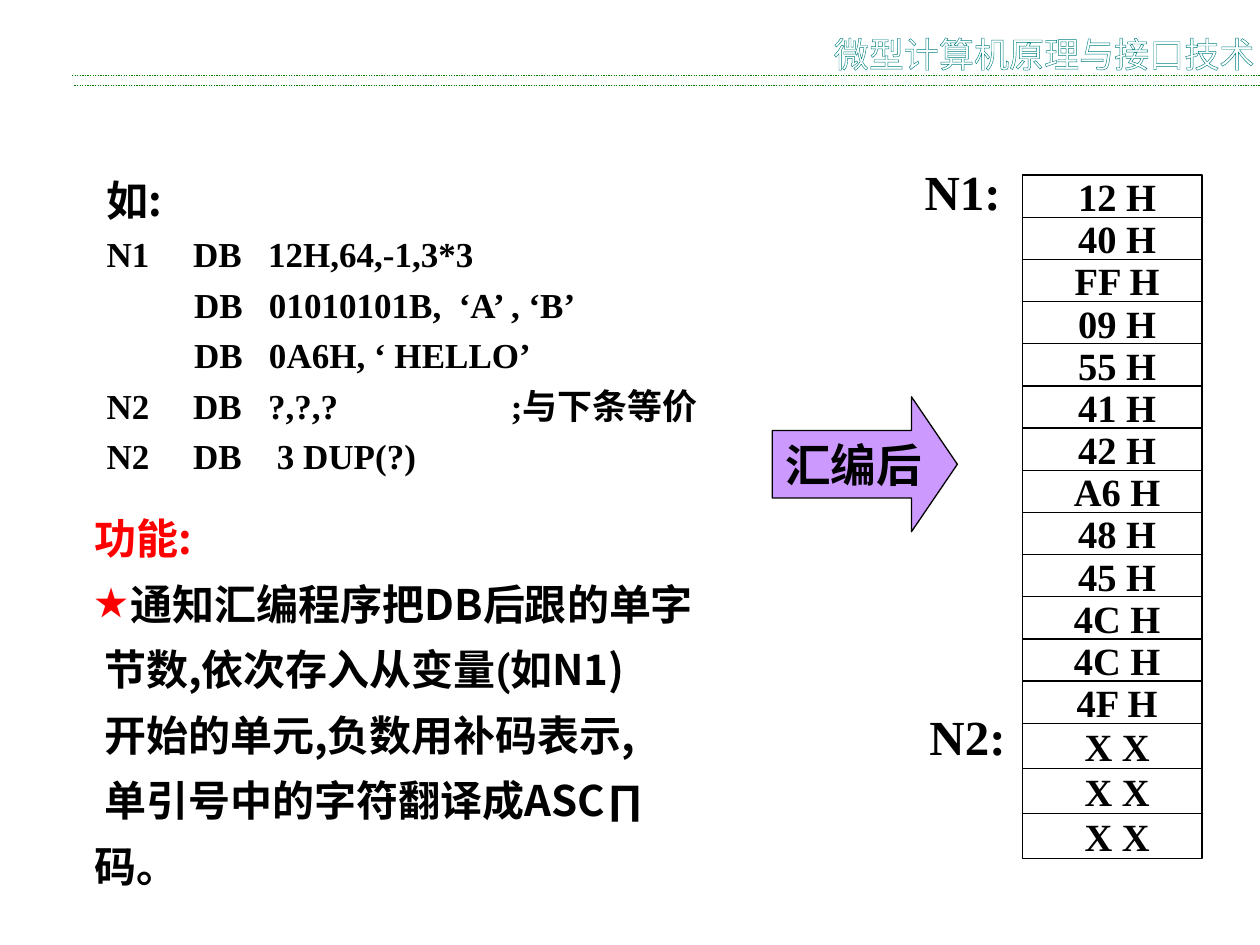
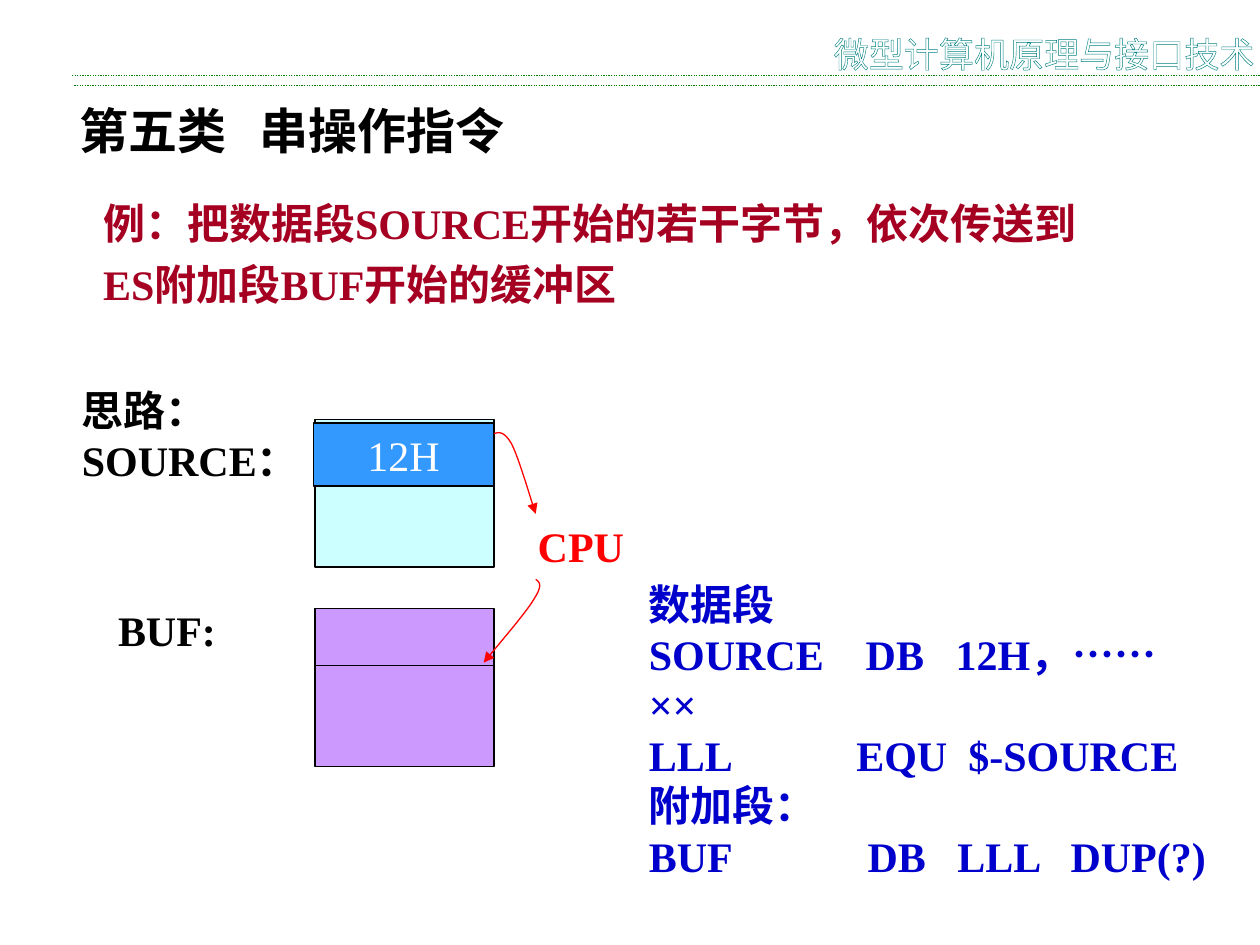
from lxml.etree import SubElement
from pptx import Presentation
from pptx.dml.color import RGBColor
from pptx.enum.dml import MSO_LINE
from pptx.enum.shapes import MSO_CONNECTOR, MSO_SHAPE
from pptx.enum.text import MSO_ANCHOR, PP_ALIGN
from pptx.oxml import parse_xml
from pptx.oxml.ns import nsdecls, qn
from pptx.util import Cm, Pt

COLORS = {
    "black": "000000", "white": "FFFFFF", "red": "FF0000", "green": "008000",
    "teal": "008080", "violet": "CC99FF", "cyan": "CCFFFF", "blue": "3399FF",
    "navy": "0000CC", "crimson": "A50021",
}
SERIF, SANS, ROBOTO = "Times New Roman", "Noto Sans CJK SC", "Roboto"
LINE_WIDTH = Pt(0.75)

COURSE = "微型计算机原理与接口技术"
COURSE_BOX = (16.56, 0.53, 8.84, 0.98)
HEADER_RULES = [(1.45, 1.52), (1.5, 1.73)]

CODE = [
    "N1     DB   12H,64,-1,3*3",
    "          DB   01010101B,  ‘A’ , ‘B’",
    "          DB   0A6H, ‘ HELLO’",
    "N2     DB   ?,?,?\t\t   ;与下条等价",
    "N2     DB    3 DUP(?)",
]
CODE_TABS = (5.08, 7.62)
PURPOSE = [
    [("节数,依次存入从变量", SANS), ("(", ROBOTO), ("如N1)", SANS)],
    [("开始的单元,负数用补码表示,", SANS)],
    [("单引号中的字符翻译成ASC∏", SANS), ("码。", SANS)],
]
BYTES = ["12 H", "40 H", "FF H", "09 H", "55 H", "41 H", "42 H", "A6 H",
         "48 H", "45 H", "4C H", "4C H", "4F H"]
RESERVED = ["X X"] * 3
MEMORY_LEFT, MEMORY_TOP, MEMORY_WIDTH = 20.62, 3.53, 3.61
BYTE_HEIGHT, RESERVED_HEIGHT = 0.85, 0.91
VALUE_CENTER, VALUE_WIDTH, VALUE_HEIGHT = 22.52, 2.5, 1.19
MEMORY_LABELS = [("N1:", 18.19, 3.12), ("N2:", 18.29, 14.12)]

EXAMPLE = ["例：把数据段SOURCE开始的若干字节，依次传送到",
           "ES附加段BUF开始的缓冲区"]
DATA = ["数据段", "SOURCE    DB   12H，…… ××", "LLL            EQU  $-SOURCE",
        "附加段：", "BUF             DB   LLL   DUP(?)"]
TITLE_TABS = (3.63,)
LABELS = [
    (["第五类\t串操作指令"], (1.35, 1.91, 12, 1.45), 28, "black", 1),
    (EXAMPLE, (1.83, 3.66, 23.01, 2.69), 24, "crimson", 1.2),
    (["思路：", "SOURCE："], (1.4, 7.62, 5.5, 2.29), 24, "black", 1),
    (["BUF:"], (2.13, 12.07, 3, 1.27), 24, "black", 1),
    (["CPU"], (10.59, 10.36, 2.6, 1.27), 24, "red", 1),
    (DATA, (12.83, 11.53, 11.84, 5.33), 24, "navy", 1),
]
SOURCE_BOX = (6.35, 8.46, 3.61, 2.97)
SOURCE_BYTE_BOX = (6.32, 8.53, 3.63, 1.27)
BUF_BOX = (6.35, 12.27, 3.61, 3.18)
BUF_RULE = 13.41
MOVES = [
    [(9.96, 8.74), (10.06, 8.71), (10.16, 8.69), (10.31, 8.94),
     (10.46, 9.22), (10.72, 10.13), (10.8, 10.36)],
    [(10.8, 11.68), (10.87, 11.73), (10.95, 11.79), (10.77, 12.07),
     (10.62, 12.34), (9.93, 13.13), (9.75, 13.36)],
]


def rgb(color):
    return RGBColor.from_string(COLORS[color])


def lengths(values):
    return [Cm(value) for value in values]


def add_run(paragraph, text, size, color="black", font=SERIF, bold=True):
    run = paragraph.add_run()
    run.text = text
    run.font.size = Pt(size)
    run.font.bold = bold
    run.font.color.rgb = rgb(color)
    run.font.name = font
    east_asian = SubElement(run.font._element, qn("a:ea"))
    east_asian.set("typeface", SANS)
    return run


def next_paragraph(frame, spacing=1.0, align=PP_ALIGN.LEFT):
    first = frame.paragraphs[0]
    paragraph = frame.add_paragraph() if first.runs else first
    paragraph.alignment = align
    paragraph.line_spacing = float(spacing)
    return paragraph


def add_tabs(paragraph, positions):
    tabs = SubElement(paragraph._p.get_or_add_pPr(), qn("a:tabLst"))
    for position in positions:
        tab = SubElement(tabs, qn("a:tab"))
        tab.set("pos", str(Cm(position)))
        tab.set("algn", "l")


def add_box(slide, box, wrap=True, anchor=MSO_ANCHOR.TOP):
    frame = slide.shapes.add_textbox(*lengths(box)).text_frame
    frame.word_wrap = wrap
    frame.vertical_anchor = anchor
    return frame


def add_centered(slide, text, box, size):
    frame = add_box(slide, box, anchor=MSO_ANCHOR.MIDDLE)
    add_run(next_paragraph(frame, align=PP_ALIGN.CENTER), text, size)


def set_indent(paragraph, margin, indent):
    properties = paragraph._p.get_or_add_pPr()
    properties.set("marL", str(Cm(margin)))
    properties.set("indent", str(Cm(indent)))
    return properties


def style_outline(shape, fill=None, line="black"):
    shape.shadow.inherit = False
    if fill:
        shape.fill.solid()
        shape.fill.fore_color.rgb = rgb(fill)
    else:
        shape.fill.background()
    shape.line.color.rgb = rgb(line)
    shape.line.width = LINE_WIDTH


def add_shape(slide, box, fill=None, kind=MSO_SHAPE.RECTANGLE):
    shape = slide.shapes.add_shape(kind, *lengths(box))
    style_outline(shape, fill)
    return shape


def add_rule(slide, left, right, y, color="black"):
    rule = slide.shapes.add_connector(
        MSO_CONNECTOR.STRAIGHT, *lengths((left, y, right, y)))
    rule.line.color.rgb = rgb(color)
    rule.line.width = LINE_WIDTH
    SubElement(rule._element.spPr, qn("a:effectLst"))
    return rule


def curve_points(points, steps=12):
    result = [points[0]]
    for start in range(0, len(points) - 1, 3):
        a, b, c, d = points[start:start + 4]
        for step in range(1, steps + 1):
            t = step / steps
            u = 1 - t
            result.append(tuple(
                u**3 * p + 3 * u * u * t * q + 3 * u * t * t * r + t**3 * s
                for p, q, r, s in zip(a, b, c, d)))
    return result


def add_move(slide, points):
    start, *rest = [tuple(lengths(point)) for point in curve_points(points)]
    builder = slide.shapes.build_freeform(*start)
    builder.add_line_segments(rest, close=False)
    move = builder.convert_to_shape()
    style_outline(move, line="red")
    SubElement(move.line._get_or_add_ln(), qn("a:tailEnd")).set("type", "triangle")


def new_slide(presentation):
    slide = presentation.slides.add_slide(presentation.slide_layouts[6])
    for left, y in HEADER_RULES:
        add_rule(slide, left, 25.4, y, "green").line.dash_style = MSO_LINE.ROUND_DOT
    frame = add_box(slide, COURSE_BOX, wrap=False)
    frame.margin_right = 0
    run = add_run(next_paragraph(frame), COURSE, 20, "white", SANS, False)
    run.font._element.insert(0, parse_xml(
        f'<a:ln {nsdecls("a")} w="{LINE_WIDTH}"><a:solidFill>'
        f'<a:srgbClr val="{COLORS["teal"]}"/></a:solidFill></a:ln>'))
    return slide


def add_memory(slide):
    rows = ([(value, BYTE_HEIGHT) for value in BYTES]
            + [(value, RESERVED_HEIGHT) for value in RESERVED])
    top = MEMORY_TOP
    for value, height in rows:
        if top > MEMORY_TOP:
            add_rule(slide, MEMORY_LEFT, MEMORY_LEFT + MEMORY_WIDTH, top)
        add_centered(slide, value, (
            VALUE_CENTER - VALUE_WIDTH / 2, top + (height - VALUE_HEIGHT) / 2,
            VALUE_WIDTH, VALUE_HEIGHT), 22)
        top += height
    add_shape(slide, (MEMORY_LEFT, MEMORY_TOP, MEMORY_WIDTH, top - MEMORY_TOP))
    for label, left, label_top in MEMORY_LABELS:
        add_centered(slide, label, (left, label_top, 2.43, 1.45), 28)


def add_purpose(slide):
    frame = add_box(slide, (1.65, 9.91, 13.69, 8.18))
    add_run(next_paragraph(frame, 1.3), "功能:", 24, "red", SANS)
    paragraph = next_paragraph(frame, 1.3)
    properties = set_indent(paragraph, 0.73, -0.73)
    color = SubElement(properties, qn("a:buClr"))
    SubElement(color, qn("a:srgbClr")).set("val", COLORS["red"])
    SubElement(properties, qn("a:buFont")).set("typeface", SERIF)
    SubElement(properties, qn("a:buChar")).set("char", "★")
    add_run(paragraph, "通知汇编程序把DB后跟的单字", 24, font=SANS)
    for parts in PURPOSE:
        paragraph = next_paragraph(frame, 1.3)
        set_indent(paragraph, 0, 0.2)
        for text, font in parts:
            if text == "码。":
                paragraph.add_line_break()
            add_run(paragraph, text, 24, font=font)


def build_define_byte(presentation):
    slide = new_slide(presentation)
    arrow = add_shape(slide, (15.57, 8, 3.73, 2.72), "violet", MSO_SHAPE.RIGHT_ARROW)
    arrow.adjustments[1] = 0.34
    arrow.text_frame.word_wrap = False
    add_run(next_paragraph(arrow.text_frame, align=PP_ALIGN.CENTER), "汇编后", 26)
    add_memory(slide)
    add_purpose(slide)
    frame = add_box(slide, (1.9, 3.18, 15.67, 6.55))
    add_run(next_paragraph(frame, 1.2), "如:", 24, font=SANS)
    for line in CODE:
        paragraph = next_paragraph(frame, 1.2)
        add_tabs(paragraph, CODE_TABS)
        add_run(paragraph, line, 20)


def build_string_move(presentation):
    slide = new_slide(presentation)
    add_shape(slide, SOURCE_BOX, "cyan")
    add_shape(slide, BUF_BOX, "violet")
    add_rule(slide, BUF_BOX[0], BUF_BOX[0] + BUF_BOX[2], BUF_RULE)
    for lines, box, size, color, spacing in LABELS:
        frame = add_box(slide, box)
        for line in lines:
            paragraph = next_paragraph(frame, spacing)
            if "\t" in line:
                add_tabs(paragraph, TITLE_TABS)
            add_run(paragraph, line, size, color)
    for points in MOVES:
        add_move(slide, points)
    source_byte = add_shape(slide, SOURCE_BYTE_BOX, "blue")
    paragraph = next_paragraph(source_byte.text_frame, align=PP_ALIGN.CENTER)
    add_run(paragraph, "12H", 24, "white", bold=False)


def main():
    presentation = Presentation()
    presentation.slide_width, presentation.slide_height = Cm(25.4), Cm(19.05)
    build_define_byte(presentation)
    build_string_move(presentation)
    presentation.save("out.pptx")


if __name__ == "__main__":
    main()
